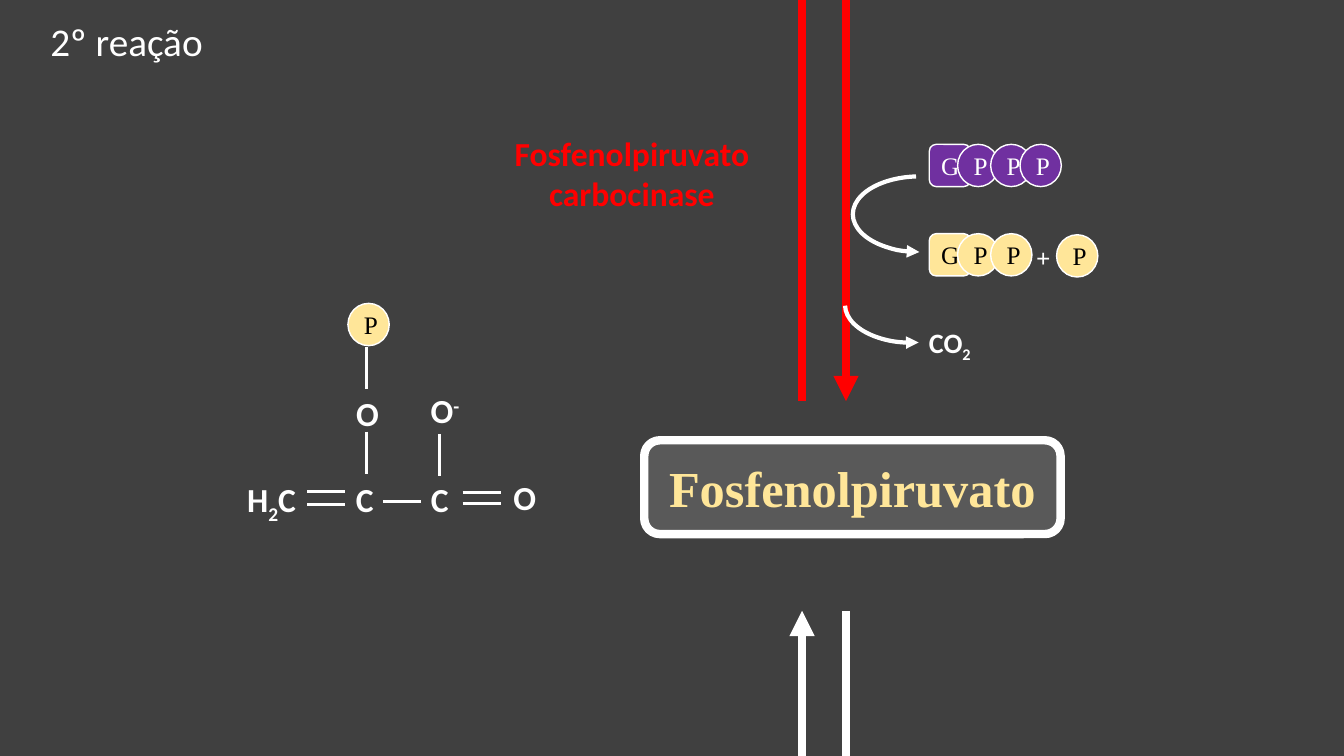
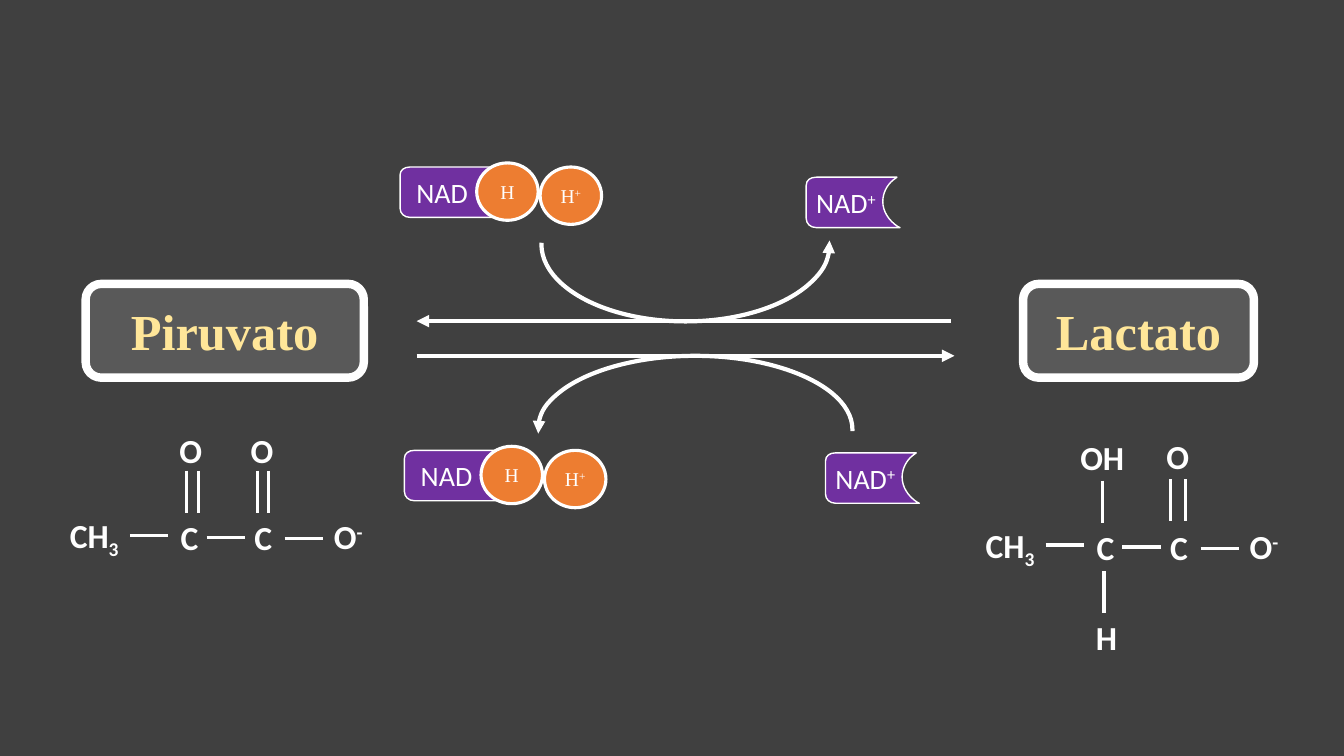
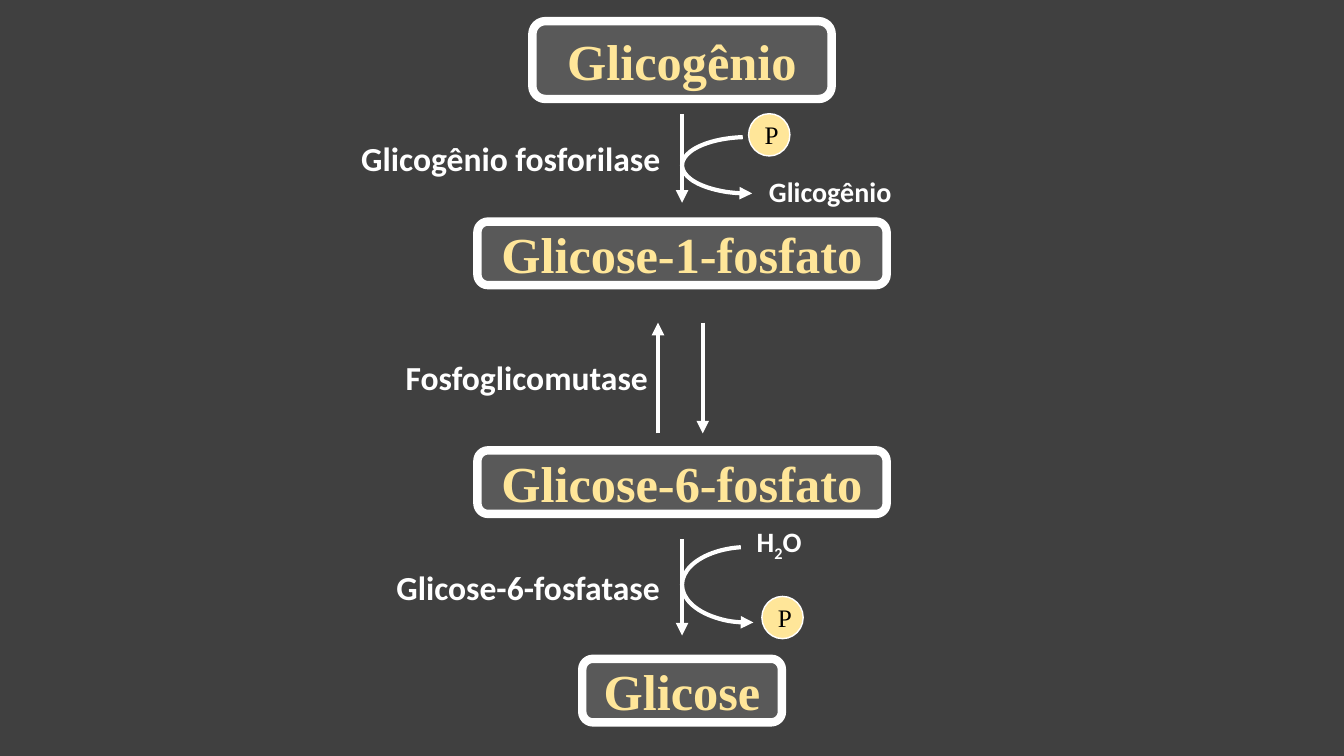
from itertools import groupby

from lxml import etree
from pptx import Presentation
from pptx.dml.color import RGBColor
from pptx.enum import shapes as sh
from pptx.enum import text as tx
from pptx.oxml import ns
from pptx.util import Pt

COLOURS = {
    "ground": "404040",
    "box": "595959",
    "white": "FFFFFF",
    "black": "000000",
    "cream": "FFE699",
    "red": "FF0000",
    "purple": "7030A0",
    "orange": "ED7D31",
}
SANS, SERIF = "Calibri", "Times New Roman"
STYLES = {
    "title": {"name": SANS, "size": Pt(28), "bold": False},
    "metabolite": {"name": SERIF, "size": Pt(36), "bold": True},
    "token": {"name": SERIF, "size": Pt(18), "bold": False},
    "plus": {"name": SERIF, "size": Pt(18), "bold": True},
    "hydrogen": {"name": SERIF, "size": Pt(14), "bold": False},
    "carrier": {"name": SANS, "size": Pt(20), "bold": False},
    "atom": {"name": SANS, "size": Pt(24), "bold": True},
    "reagent": {"name": SANS, "size": Pt(20), "bold": True},
}
SHIFTS = {"_": -25, "^": 30}
LEFT, CENTER, RIGHT = tx.PP_ALIGN.LEFT, tx.PP_ALIGN.CENTER, tx.PP_ALIGN.RIGHT
ROUNDED = sh.MSO_SHAPE.ROUNDED_RECTANGLE
OVAL = sh.MSO_SHAPE.OVAL
BOND_ACROSS, BOND_UP = 27.2, 30
TOKEN_SIZE = (29.5, 30.2)
PATHWAY_CENTER = 487.2
CARRIER_EDGE = (
    ((7.2, 0),),
    ((64.8, 0),),
    ((61.9, 2.2),),
    ((57.6, 5.8), (54.7, 11.5), (54.7, 17.3)),
    ((54.7, 24.5), (59, 31), (65.5, 35.3)),
    ((67, 36),),
    ((7.2, 36),),
    ((2.9, 36), (0, 33.1), (0, 29.5)),
    ((0, 5.8),),
    ((0, 2.2), (2.9, 0), (7.2, 0)),
)


def rgb(colour):
    return RGBColor.from_string(COLOURS[colour])


def set_values(target, values):
    for attribute, value in values.items():
        setattr(target, attribute, value)


def shifted_runs(formula):
    marked, shift = [], 0
    for char in formula:
        if char in SHIFTS:
            shift = SHIFTS[char]
        else:
            marked.append((char, shift))
            shift = 0
    for shift, chars in groupby(marked, key=lambda pair: pair[1]):
        yield "".join(char for char, _ in chars), shift


def write(frame, formula, style, colour, align=CENTER):
    frame.word_wrap = True
    paragraph = frame.paragraphs[0]
    paragraph.alignment = align
    for piece, shift in shifted_runs(formula):
        run = paragraph.add_run()
        run.text = piece
        set_values(run.font, STYLES[style])
        run.font.color.rgb = rgb(colour)
        if shift:
            run.font._element.set("baseline", str(shift * 1000))


def outline(shape, colour, width):
    shape.line.color.rgb = rgb(colour)
    shape.line.width = Pt(width)


def paint(shape, fill, width):
    shape.shadow.inherit = False
    shape.fill.solid()
    shape.fill.fore_color.rgb = rgb(fill)
    outline(shape, "white", width)


def arrowhead(shape, end):
    line = shape._element.spPr.find(ns.qn("a:ln"))
    etree.SubElement(line, ns.qn(f"a:{end}"), type="triangle")


def label(slide, formula, area, style, colour="white", align=CENTER):
    frame = slide.shapes.add_textbox(*map(Pt, area)).text_frame
    frame.auto_size = tx.MSO_AUTO_SIZE.SHAPE_TO_FIT_TEXT
    write(frame, formula, style, colour, align)


def badge(slide, kind, formula, area, style, fill, colour, width):
    shape = slide.shapes.add_shape(kind, *map(Pt, area))
    paint(shape, fill, width)
    write(shape.text_frame, formula, style, colour)


def metabolite(slide, name, *area):
    badge(slide, ROUNDED, name, area, "metabolite", "box", "cream", 6)


def token(slide, letter, x, y, fill="cream", colour="black"):
    kind = ROUNDED if letter == "G" else OVAL
    badge(slide, kind, letter, (x, y, *TOKEN_SIZE), "token", fill, colour, 1)


def nucleotide(slide, y, phosphates, fill, colour):
    token(slide, "G", 663.8, y, fill, colour)
    for x in phosphates:
        token(slide, "P", x, y, fill, colour)


def straight(slide, start, end, colour="white", width=3, arrow=True):
    line = slide.shapes.add_connector(
        sh.MSO_CONNECTOR.STRAIGHT, *map(Pt, (*start, *end)))
    outline(line, colour, width)
    if arrow:
        arrowhead(line, "tailEnd")
    etree.SubElement(line._element.spPr, ns.qn("a:effectLst"))


def curve(slide, area, start, end):
    arc = slide.shapes.add_shape(sh.MSO_SHAPE.ARC, *map(Pt, area))
    arc.shadow.inherit = False
    arc.fill.background()
    for index, degrees in enumerate((start, end)):
        arc.adjustments[index] = degrees * 0.6
    outline(arc, "white", 3)
    arrowhead(arc, "headEnd")


def atoms(slide, placed):
    for formula, x, y, width in placed:
        label(slide, formula, (x, y, width, 36), "atom")


def bonds(slide, across=(), upright=()):
    for places, dx, dy in ((across, BOND_ACROSS, 0), (upright, 0, BOND_UP)):
        for x, y in places:
            straight(slide, (x, y), (x + dx, y + dy), width=2.25, arrow=False)


def carbon_chain(slide, x, y):
    chain = (("CH_3", 0, 0, 62.6), ("C", 72.4, 1.7, 54),
             ("C", 133.6, 1.7, 36.7), ("O^-", 191.5, 0.9, 42.5))
    links = ((56.7, 18), (111.6, 19.4), (167.4, 20.2))
    atoms(slide, [(name, x + dx, y + dy, w) for name, dx, dy, w in chain])
    bonds(slide, across=[(x + dx, y + dy) for dx, dy in links])


def bend_segments(shape, segments):
    lines = list(shape._element.spPr.iter(ns.qn("a:lnTo")))
    for line, segment in zip(lines, segments):
        if len(segment) == 3:
            line.tag = ns.qn("a:cubicBezTo")
            for index, (x, y) in enumerate(segment[:2]):
                control = etree.Element(
                    ns.qn("a:pt"), x=str(Pt(x)), y=str(Pt(y)))
                line.insert(index, control)


def carrier(slide, formula, x, y):
    corners = [tuple(map(Pt, segment[-1])) for segment in CARRIER_EDGE]
    builder = slide.shapes.build_freeform(*corners[0], scale=1.0)
    builder.add_line_segments(corners[1:], close=True)
    shape = builder.convert_to_shape(Pt(x), Pt(y))
    bend_segments(shape, CARRIER_EDGE[1:])
    paint(shape, "purple", 1)
    shape.text_frame.vertical_anchor = tx.MSO_ANCHOR.MIDDLE
    write(shape.text_frame, formula, "carrier", "white", LEFT)


def reduced_carrier(slide, x, y):
    carrier(slide, " NAD", x, y)
    for formula, dx, dy in (("H", 54.7, -2.9), ("H^+", 100, 0)):
        badge(slide, OVAL, formula, (x + dx, y + dy, 43.9, 41),
              "hydrogen", "orange", "white", 2.25)


def place_title(slide, wording, area):
    title = slide.shapes.title
    set_values(title, dict(zip(("left", "top", "width", "height"),
                               map(Pt, area))))
    title.text_frame.vertical_anchor = tx.MSO_ANCHOR.TOP
    write(title.text_frame, wording, "title", "white")


def second_reaction(slide):
    place_title(slide, "2º reação", (1.5, 8.6, 177.8, 41))
    metabolite(slide, "Fosfenolpiruvato", 460.2, 314.5, 297.4, 67)
    left, right = 572.9, 604.3
    straight(slide, (right, 0), (right, 286.6), "red", 6)
    straight(slide, (left, 0), (left, 286.6), "red", 6, arrow=False)
    straight(slide, (right, 436.3), (right, 540), width=6, arrow=False)
    straight(slide, (left, 540), (left, 436.3), width=6)

    nucleotide(slide, 103.1, (684, 707.6, 728.6), "purple", "white")
    nucleotide(slide, 166.9, (684, 707.6), "cream", "black")
    token(slide, "P", 754.7, 167.7)
    label(slide, "+", (733.1, 169.2, 24.5, 18.7), "plus")
    curve(slide, (609.2, 126, 95, 54), 90, 265)
    curve(slide, (603.6, 190.8, 95, 54), 79.3, 179.3)
    label(slide, "CO_2", (641, 229, 74.9, 31.7), "reagent")
    label(slide, "Fosfenolpiruvato carbocinase",
          (327.9, 91.4, 247, 65.5), "atom", "red")

    atoms(slide, (
        ("H_2C", 162.7, 338.8, 62.6), ("C", 241.9, 338.8, 37.4),
        ("O", 243.8, 277.2, 37.4), ("O", 356.1, 337, 37.4),
        ("C", 295.7, 338.8, 36.7), ("O^-", 296.6, 275, 42.5)))
    bonds(slide,
          across=((219.6, 350.8), (219.6, 360.5), (273.6, 358.3),
                  (330.5, 351.6), (330.5, 359.8)),
          upright=((262.1, 248), (262.1, 308.4), (313.9, 310.3)))
    token(slide, "P", 248.5, 216.7)


def lactate_exchange(slide):
    metabolite(slide, "Piruvato", 61.2, 202.8, 198.7, 67)
    metabolite(slide, "Lactato", 730.8, 202.8, 164.9, 67)

    carbon_chain(slide, 36, 364.3)
    atoms(slide, (("O", 117.6, 303.8, 37.4), ("O", 168.4, 303.8, 37.4)))
    bonds(slide, upright=[(x, 336.2) for x in (133.2, 141.8, 183.8, 191.7)])

    carbon_chain(slide, 690.2, 371.3)
    atoms(slide, (("OH", 760.3, 308.9, 54), ("O", 822.5, 307.7, 37.4),
                  ("H", 775.7, 437, 28)))
    bonds(slide, upright=((787.7, 343.4), (835.9, 342.4),
                          (846.7, 342.4), (788.6, 408.2)))

    straight(slide, (679.4, 229.4), (297.6, 229.4))
    straight(slide, (297.6, 254.2), (681.8, 254.2))
    curve(slide, (386.8, 119.4, 205.9, 110.2), 358.5, 180.6)
    curve(slide, (384.3, 254.2, 224.6, 105.1), 178.5, 0.6)
    for x, y in ((285.8, 119.3), (288.9, 321.7)):
        reduced_carrier(slide, x, y)
    for x, y in ((575.9, 126.6), (589.7, 323.5)):
        carrier(slide, "NAD^+", x, y)


def glycogen_breakdown(slide):
    for name, top, width, height in (
            ("Glicogênio", 15.1, 213.8, 55.6),
            ("Glicose-1-fosfato", 158.3, 292.3, 45.4),
            ("Glicose-6-fosfato", 321.7, 292.3, 45.4),
            ("Glicose", 470.6, 142.6, 45.4)):
        metabolite(slide, name, PATHWAY_CENTER - width / 2, top, width, height)
    for x, start, end in ((PATHWAY_CENTER, 81.4, 144.9),
                          (470, 309.6, 230.5),
                          (502, 230.5, 309.6),
                          (PATHWAY_CENTER, 385.2, 454)):
        straight(slide, (x, start), (x, end))
    for top, height in ((97.9, 40.3), (390.7, 54)):
        curve(slide, (PATHWAY_CENTER, top, 95, height), 82.7, 258.4)
    token(slide, "P", 534.7, 81.2)
    token(slide, "P", 544.2, 426)
    label(slide, "Glicogênio", (526.4, 121, 133.2, 31.7), "reagent")
    label(slide, "H_2O", (519.1, 370.8, 74.9, 31.7), "reagent")
    for enzyme, x, y in (("Glicogênio fosforilase", 203, 95),
                         ("Fosfoglicomutase", 194.1, 251.3),
                         ("Glicose-6-fosfatase", 202.6, 401.4)):
        label(slide, enzyme, (x, y, 275.8, 36), "atom", align=RIGHT)


def main():
    deck = Presentation()
    set_values(deck, {"slide_width": Pt(960), "slide_height": Pt(540)})
    ground = deck.slide_master.background.fill
    ground.solid()
    ground.fore_color.rgb = rgb("ground")
    titled = deck.slide_layouts.get_by_name("Title Only")
    blank = deck.slide_layouts.get_by_name("Blank")
    for layout, draw in ((titled, second_reaction),
                         (blank, lactate_exchange),
                         (blank, glycogen_breakdown)):
        draw(deck.slides.add_slide(layout))
    deck.save("out.pptx")


if __name__ == "__main__":
    main()
